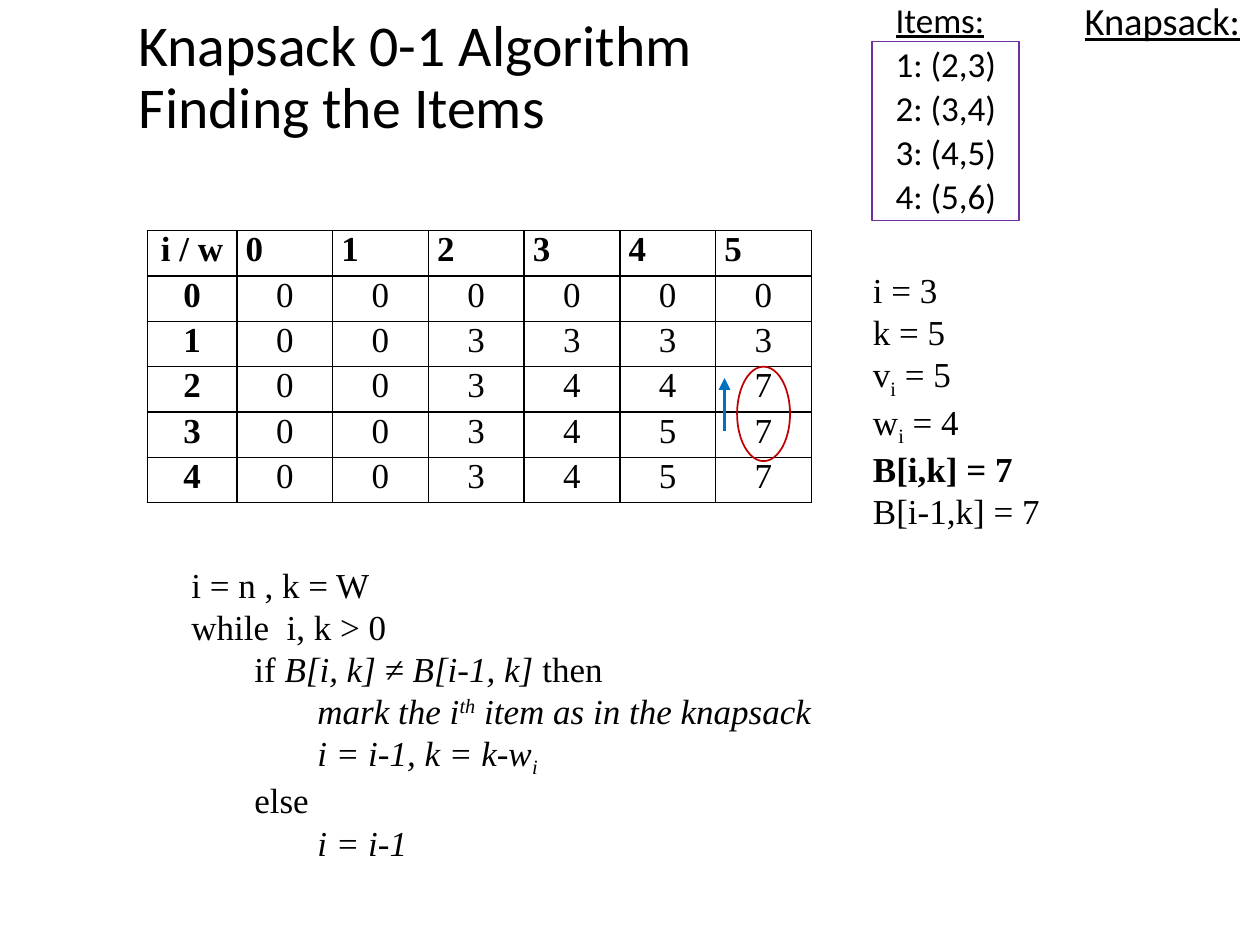
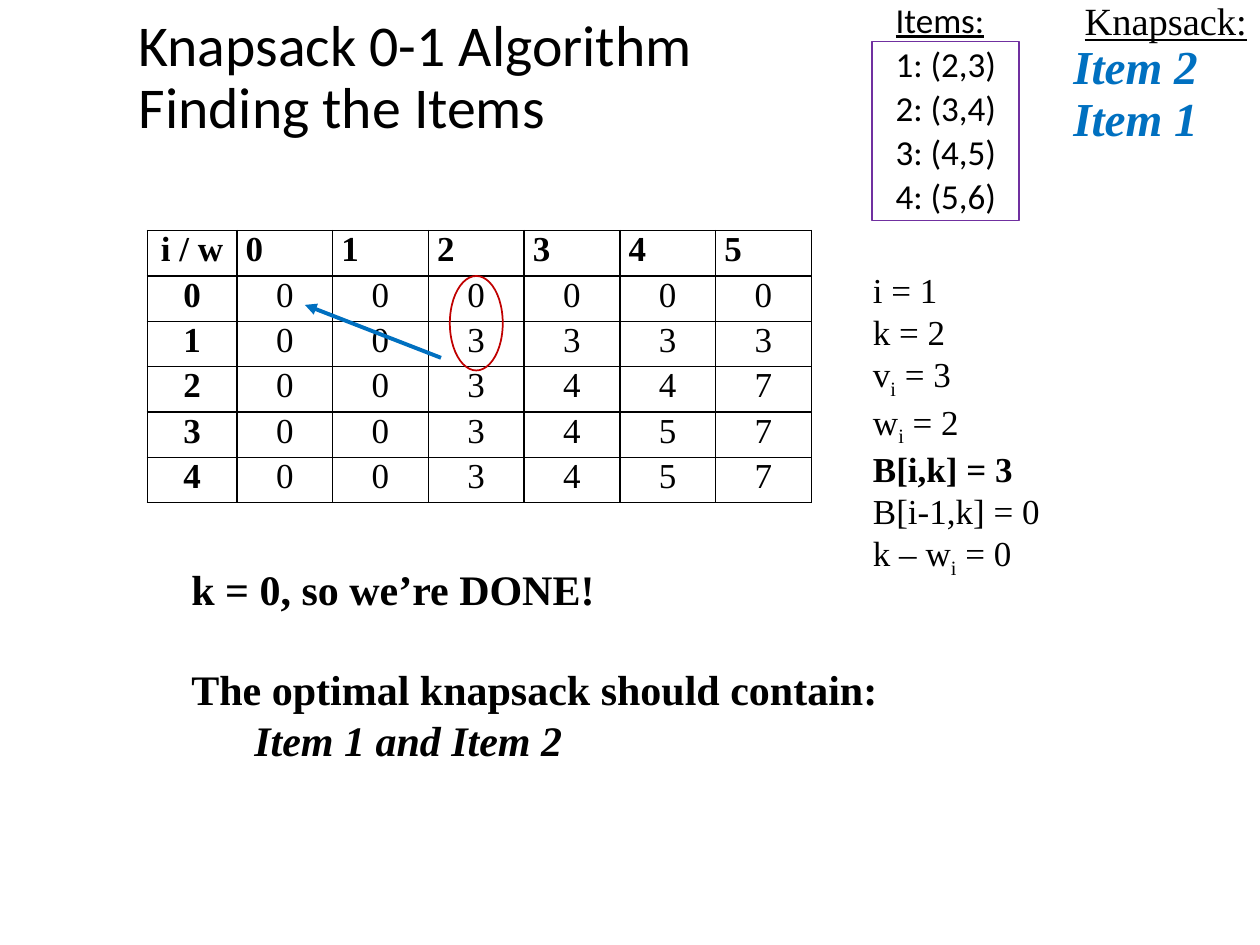
"""Build two slides that trace how the 0-1 knapsack algorithm finds its items."""
from lxml import etree
from pptx import Presentation
from pptx.dml.color import RGBColor
from pptx.enum.shapes import MSO_CONNECTOR, MSO_SHAPE
from pptx.enum.text import MSO_ANCHOR, MSO_AUTO_SIZE, PP_ALIGN
from pptx.oxml.ns import qn
from pptx.util import Emu, Inches, Pt

STRAIGHT = MSO_CONNECTOR.STRAIGHT
RECTANGLE, OVAL = MSO_SHAPE.RECTANGLE, MSO_SHAPE.OVAL
LEFT, CENTER = PP_ALIGN.LEFT, PP_ALIGN.CENTER
MIDDLE = MSO_ANCHOR.MIDDLE
NO_AUTOFIT = MSO_AUTO_SIZE.NONE

COLORS = {"text": "000000", "arrow": "0070C0", "ring": "C00000", "frame": "7030A0"}
SANS, SERIF = "Calibri", "Times New Roman"
BASELINES = {"_": "-25000", "^": "30000"}

TITLE = "Knapsack 0-1 Algorithm\vFinding the Items"
ITEMS = ["Items:", "1: (2,3)", "2: (3,4)", "3: (4,5)", "4: (5,6)"]
BENEFITS = [
    ["i / w", "0", "1", "2", "3", "4", "5"],
    ["0", "0", "0", "0", "0", "0", "0"],
    ["1", "0", "0", "3", "3", "3", "3"],
    ["2", "0", "0", "3", "4", "4", "7"],
    ["3", "0", "0", "3", "4", "5", "7"],
    ["4", "0", "0", "3", "4", "5", "7"],
]
# fmt: (indent level, [(text, style flags)])
STEPS = [
    {
        "state": [
            (0, [("i = 3", "")]),
            (0, [("k = 5", "")]),
            (0, [("v", ""), ("i", "_"), (" = 5", "")]),
            (0, [("w", ""), ("i", "_"), (" = 4", "")]),
            (0, [("B[i,k] = 7", "b")]),
            (0, [("B[i-1,k] = 7", "")]),
        ],
        "notes": [
            (0, [("i = n , k = W", "")]),
            (0, [("while  i, k > 0", "")]),
            (1, [("if ", ""), ("B[i, k] ≠ B[i-1, k] ", "i"), ("then", "")]),
            (2, [("mark the i", "i"), ("th", "i^"), (" item as in the knapsack", "i")]),
            (2, [("i = i-1, k = k-w", "i"), ("i", "i_")]),
            (1, [("else", "")]),
            (2, [("i = i-1", "i")]),
        ],
        "notes_size": 20,
        "gap_before": {},
        "arrow": (5.75, 3.42, 5.75, 3),
        "ring_cell": (3, 6),
        "knapsack_font": SANS,
        "packed": [],
    },
    {
        "state": [
            (0, [("i = 1", "")]),
            (0, [("k = 2", "")]),
            (0, [("v", ""), ("i", "_"), (" = 3", "")]),
            (0, [("w", ""), ("i", "_"), (" = 2", "")]),
            (0, [("B[i,k] = 3", "b")]),
            (0, [("B[i-1,k] = 0", "")]),
            (0, [("k – w", ""), ("i", "_"), (" = 0", "")]),
        ],
        "notes": [
            (0, [("k = 0, so we’re DONE!", "b")]),
            (0, [("The optimal knapsack should contain:", "b")]),
            (1, [("Item 1 and Item 2", "bi")]),
        ],
        "notes_size": 24,
        "gap_before": {1: 28.8},
        "arrow": (3.5, 2.84, 2.42, 2.42),
        "ring_cell": (1, 3),
        "knapsack_font": SERIF,
        "packed": ["Item 2", "Item 1"],
    },
]

TABLE_LEFT, TABLE_TOP = 1.17, 1.83
LABEL_WIDTH, COLUMN_WIDTH, ROW_HEIGHT = 0.71, 0.76, 0.36
RING_WIDTH, RING_HEIGHT = 0.42, 0.75
LEVEL_INDENT = 0.5


def color(name):
    return RGBColor.from_string(COLORS[name])


def style_run(run, size, font, flags="", fill="text"):
    run.font.size, run.font.name = Pt(size), font
    run.font.bold, run.font.italic = "b" in flags, "i" in flags
    run.font.underline = "u" in flags
    run.font.color.rgb = color(fill)
    for mark, baseline in BASELINES.items():
        if mark in flags:
            run._r.get_or_add_rPr().set("baseline", baseline)


def add_text_frame(slide, left, top, width, height):
    box = slide.shapes.add_textbox(*map(Inches, (left, top, width, height)))
    box.text_frame.word_wrap = True
    return box.text_frame


def next_paragraph(text_frame, index):
    return text_frame.add_paragraph() if index else text_frame.paragraphs[0]


def add_list(slide, bounds, lines, size, font, flags="", fill="text"):
    text_frame = add_text_frame(slide, *bounds)
    for index, line in enumerate(lines):
        paragraph = next_paragraph(text_frame, index)
        paragraph.text = line
        paragraph.line_spacing = 0.8
        if index:
            paragraph.space_before = Pt(6)
        properties = paragraph._p.get_or_add_pPr()
        properties.set("marL", str(Inches(0.4)))
        properties.set("indent", str(Inches(-0.31)))
        style_run(paragraph.runs[0], size, font, "" if index else flags, fill)


def add_rich_text(slide, bounds, lines, size, gap_before):
    text_frame = add_text_frame(slide, *bounds)
    for index, (level, pieces) in enumerate(lines):
        paragraph = next_paragraph(text_frame, index)
        paragraph._p.get_or_add_pPr().set("marL", str(Inches(level * LEVEL_INDENT)))
        if index in gap_before:
            paragraph.space_before = Pt(gap_before[index])
        for text, flags in pieces:
            run = paragraph.add_run()
            run.text = text
            style_run(run, size, SERIF, flags)


def add_title(slide):
    title = slide.shapes.title
    title.left, title.top, title.width, title.height = map(Inches, (1, 0, 5.92, 1.25))
    text_frame = title.text_frame
    text_frame.text = TITLE
    text_frame.auto_size = NO_AUTOFIT
    text_frame.vertical_anchor = MIDDLE
    paragraph = text_frame.paragraphs[0]
    paragraph.alignment, paragraph.line_spacing = LEFT, 0.9
    for run in paragraph.runs:
        style_run(run, 33, SANS)


def add_borders(cell):
    properties = cell._tc.get_or_add_tcPr()
    for position, side in enumerate(("a:lnL", "a:lnR", "a:lnT", "a:lnB")):
        line = etree.Element(qn(side), w=str(Pt(1)))
        fill = etree.SubElement(line, qn("a:solidFill"))
        etree.SubElement(fill, qn("a:srgbClr"), val=COLORS["text"])
        properties.insert(position, line)


def add_benefit_table(slide):
    rows, columns = len(BENEFITS), len(BENEFITS[0])
    width = LABEL_WIDTH + (columns - 1) * COLUMN_WIDTH
    bounds = (TABLE_LEFT, TABLE_TOP, width, rows * ROW_HEIGHT)
    table = slide.shapes.add_table(rows, columns, *map(Inches, bounds)).table
    for index, column in enumerate(table.columns):
        column.width = Inches(COLUMN_WIDTH if index else LABEL_WIDTH)
    for row_index, values in enumerate(BENEFITS):
        table.rows[row_index].height = Inches(ROW_HEIGHT)
        for column_index, value in enumerate(values):
            cell = table.cell(row_index, column_index)
            cell.text = value
            cell.fill.background()
            cell.margin_left = cell.margin_right = Inches(0.07)
            cell.margin_top = cell.margin_bottom = Emu(0)
            is_label = row_index == 0 or column_index == 0
            paragraph = cell.text_frame.paragraphs[0]
            paragraph.alignment = LEFT if row_index == 0 and column_index else CENTER
            style_run(paragraph.runs[0], 20, SERIF, "b" if is_label else "")
            add_borders(cell)


def add_outline(slide, kind, bounds, line_color):
    shape = slide.shapes.add_shape(kind, *map(Inches, bounds))
    shape.shadow.inherit = False
    shape.fill.background()
    shape.line.color.rgb, shape.line.width = color(line_color), Pt(1)


def add_ring(slide, row, column):
    center = TABLE_LEFT + LABEL_WIDTH + (column - 0.5) * COLUMN_WIDTH
    top = TABLE_TOP + row * ROW_HEIGHT
    bounds = (center - RING_WIDTH / 2, top, RING_WIDTH, RING_HEIGHT)
    add_outline(slide, OVAL, bounds, "ring")


def add_arrow(slide, points):
    arrow = slide.shapes.add_connector(STRAIGHT, *map(Inches, points))
    arrow.line.color.rgb, arrow.line.width = color("arrow"), Pt(2.25)
    etree.SubElement(arrow.line._get_or_add_ln(), qn("a:tailEnd"), type="triangle")
    etree.SubElement(arrow._element.spPr, qn("a:effectLst"))


def add_step(presentation, step):
    slide = presentation.slides.add_slide(presentation.slide_layouts[5])
    add_title(slide)
    add_list(slide, (6.92, 0, 1.17, 1.83), ITEMS, 20, SANS, "u")
    state_height = 0.1 + 0.34 * len(step["state"])
    add_rich_text(slide, (6.83, 2.08, 1.75, state_height), step["state"], 20, {})
    add_benefit_table(slide)
    add_outline(slide, RECTANGLE, (6.92, 0.33, 1.17, 1.42), "frame")
    add_rich_text(slide, (1.42, 4.42, 7.08, 2.75), step["notes"],
                  step["notes_size"], step["gap_before"])
    add_arrow(slide, step["arrow"])
    add_list(slide, (8.42, 0, 1.58, 0.58), ["Knapsack:"], 22, step["knapsack_font"], "u")
    add_ring(slide, *step["ring_cell"])
    for index, item in enumerate(step["packed"]):
        bounds = (8.33, 0.33 + index * 0.42, 1.67, 0.5)
        add_list(slide, bounds, [item], 27, SERIF, "bi", "arrow")


def main():
    presentation = Presentation()
    presentation.slide_width, presentation.slide_height = Inches(10), Inches(7.5)
    for step in STEPS:
        add_step(presentation, step)
    presentation.save("out.pptx")


if __name__ == "__main__":
    main()
